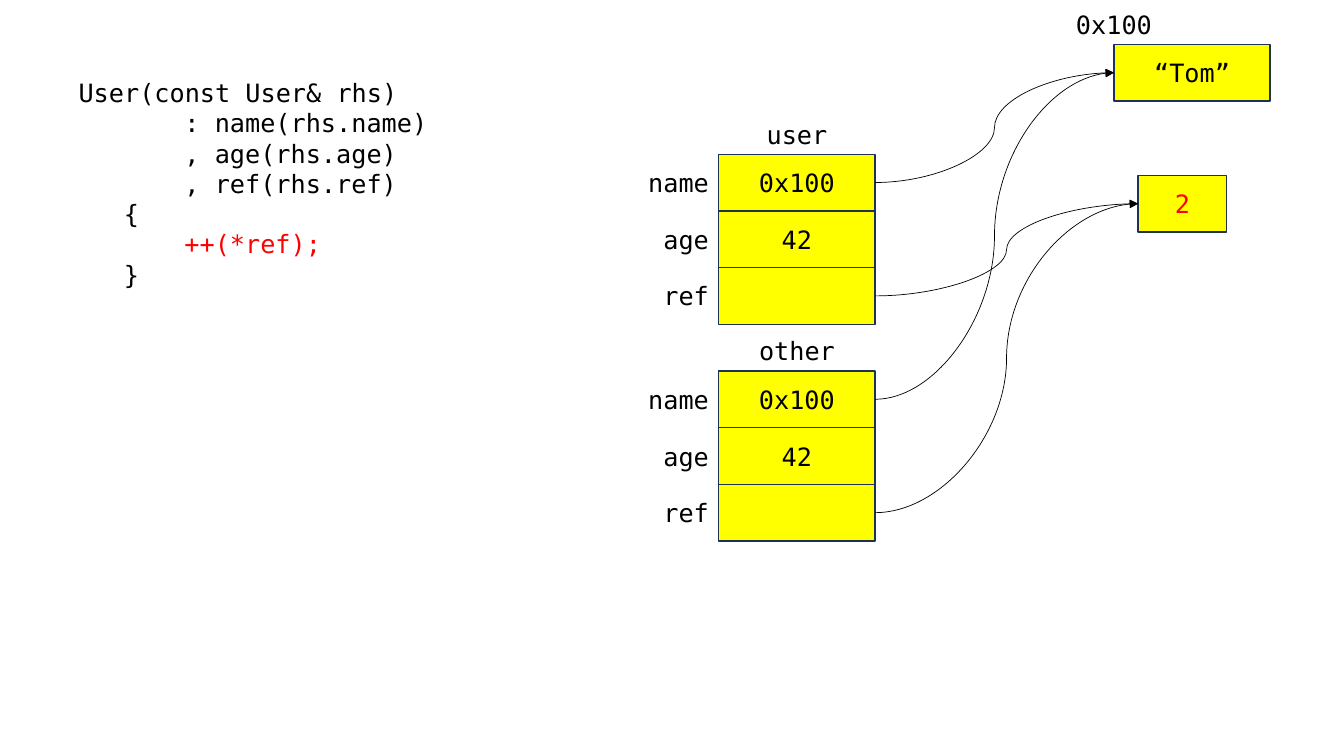
from dataclasses import dataclass

from pptx import Presentation
from pptx.dml.color import RGBColor
from pptx.enum.shapes import MSO_CONNECTOR as CONN, MSO_SHAPE as SHAPE
from pptx.enum.text import MSO_ANCHOR as ANCHOR, MSO_AUTO_SIZE as AUTO, PP_ALIGN as ALIGN
from pptx.oxml.ns import qn
from pptx.util import Inches, Pt
from lxml.etree import SubElement

FONT, SIZE = "DejaVu Sans Mono", 18
BLACK, RED, YELLOW, NAVY = "000000", "FF0000", "FFFF00", "1E3256"

# Lengths are percentages of the slide's width (x, w) and height (y, h).
ROW_H, LABEL_H = 7.5, 5.33
CELL_W, TITLE_W = 11.63, 9.53
STRUCT_X = 53.48
RIGHT_SITE, LEFT_SITE = 3, 1
CHAR_W = 0.6 * SIZE  # advance of one monospaced character, in points


@dataclass
class Field:
    """A member of the struct: its name, value and label width."""
    name: str
    value: str
    label_w: float


@dataclass
class CodeLine:
    """A line of code, indented by a number of characters."""
    indent: int
    text: str
    color: str = BLACK


FIELDS = [Field("name", "0x100", 8.25), Field("age", "42", 5.78), Field("ref", "", 5.78)]
OBJECTS = {"user": 20.4, "other": 49.07}
CODE = [
    CodeLine(1, "User(const User& rhs)"),
    CodeLine(8, ": name(rhs.name)"),
    CodeLine(8, ", age(rhs.age)"),
    CodeLine(8, ", ref(rhs.ref)"),
    CodeLine(4, "{"),
    CodeLine(8, "++(*ref);", RED),
    CodeLine(4, "}"),
]

prs = Presentation()
prs.slide_width, prs.slide_height = Inches(13.33), Inches(7.5)
s = prs.slides.add_slide(prs.slide_layouts[6])


def rgb(color: str) -> RGBColor:
    """Turn a hex string into a colour."""
    return RGBColor.from_string(color)


def area(x: float, y: float, w: float, h: float) -> list[int]:
    """Turn slide percentages into left, top, width and height."""
    sides = (prs.slide_width, prs.slide_height) * 2
    return [round(side * share / 100) for side, share in zip(sides, (x, y, w, h))]


def add_run(p, text: str, color: str = BLACK) -> None:
    """Append a run of monospaced text to a paragraph."""
    r = p.add_run()
    r.text = text
    r.font.name, r.font.size = FONT, Pt(SIZE)
    r.font.color.rgb = rgb(color)


def add_box(x: float, y: float, text: str, w: float = CELL_W, color: str = BLACK):
    """Draw a yellow memory cell with a centred value."""
    sp = s.shapes.add_shape(SHAPE.RECTANGLE, *area(x, y, w, ROW_H))
    sp.shadow.inherit = False
    sp.fill.solid()
    sp.fill.fore_color.rgb = rgb(YELLOW)
    sp.line.color.rgb, sp.line.width = rgb(NAVY), Pt(1)
    tf = sp.text_frame
    tf.vertical_anchor = ANCHOR.MIDDLE
    if text:
        p = tf.paragraphs[0]
        p.alignment = ALIGN.CENTER
        add_run(p, text, color)
    return sp


def add_frame(x: float, y: float, w: float, h: float):
    """Add a wrapping text box and return its text frame."""
    tf = s.shapes.add_textbox(*area(x, y, w, h)).text_frame
    tf.word_wrap, tf.auto_size = True, AUTO.SHAPE_TO_FIT_TEXT
    return tf


def add_label(x: float, y: float, w: float, text: str, align=ALIGN.CENTER) -> None:
    """Write a one-line label."""
    p = add_frame(x, y, w, LABEL_H).paragraphs[0]
    p.alignment = align
    add_run(p, text)


def add_title(center: float, box_top: float, text: str) -> None:
    """Write a label that rests on top of a box."""
    add_label(center - TITLE_W / 2, box_top - LABEL_H, TITLE_W, text)


def add_object(title: str, top: float) -> dict:
    """Draw a struct as stacked cells and return them by field name."""
    add_title(STRUCT_X + CELL_W / 2, top, title)
    cells = {}
    for i, field in enumerate(FIELDS):
        y = top + i * ROW_H
        cells[field.name] = add_box(STRUCT_X, y, field.value)
        add_label(STRUCT_X - field.label_w, y + (ROW_H - LABEL_H) / 2,
                  field.label_w, field.name, ALIGN.RIGHT)
    return cells


def add_pointer(source, target) -> None:
    """Join two cells with a curved arrow."""
    line = s.shapes.add_connector(CONN.CURVE, 0, 0, 0, 0)
    line.begin_connect(source, RIGHT_SITE)
    line.end_connect(target, LEFT_SITE)
    line.line.color.rgb, line.line.width = rgb(BLACK), Pt(0.5)
    SubElement(line.line._get_or_add_ln(), qn("a:tailEnd"), type="triangle")
    SubElement(line._element.spPr, qn("a:effectLst"))


def add_code(lines: list[CodeLine]) -> None:
    """Write the code listing, one paragraph per line."""
    tf = add_frame(3.98, 9.6, 50.03, 29.6)
    for i, line in enumerate(lines):
        p = tf.add_paragraph() if i else tf.paragraphs[0]
        p._p.get_or_add_pPr().set("marL", str(Pt(line.indent * CHAR_W)))
        add_run(p, line.text, line.color)


TOM_X, TOM_Y = 82.88, 5.87
targets = {
    "name": add_box(TOM_X, TOM_Y, "“Tom”"),
    "ref": add_box(84.68, 23.2, "2", 6.6, RED),
}
add_title(TOM_X, TOM_Y, "0x100")

for title, top in OBJECTS.items():
    cells = add_object(title, top)
    for name, target in targets.items():
        add_pointer(cells[name], target)

add_code(CODE)
prs.save("out.pptx")
